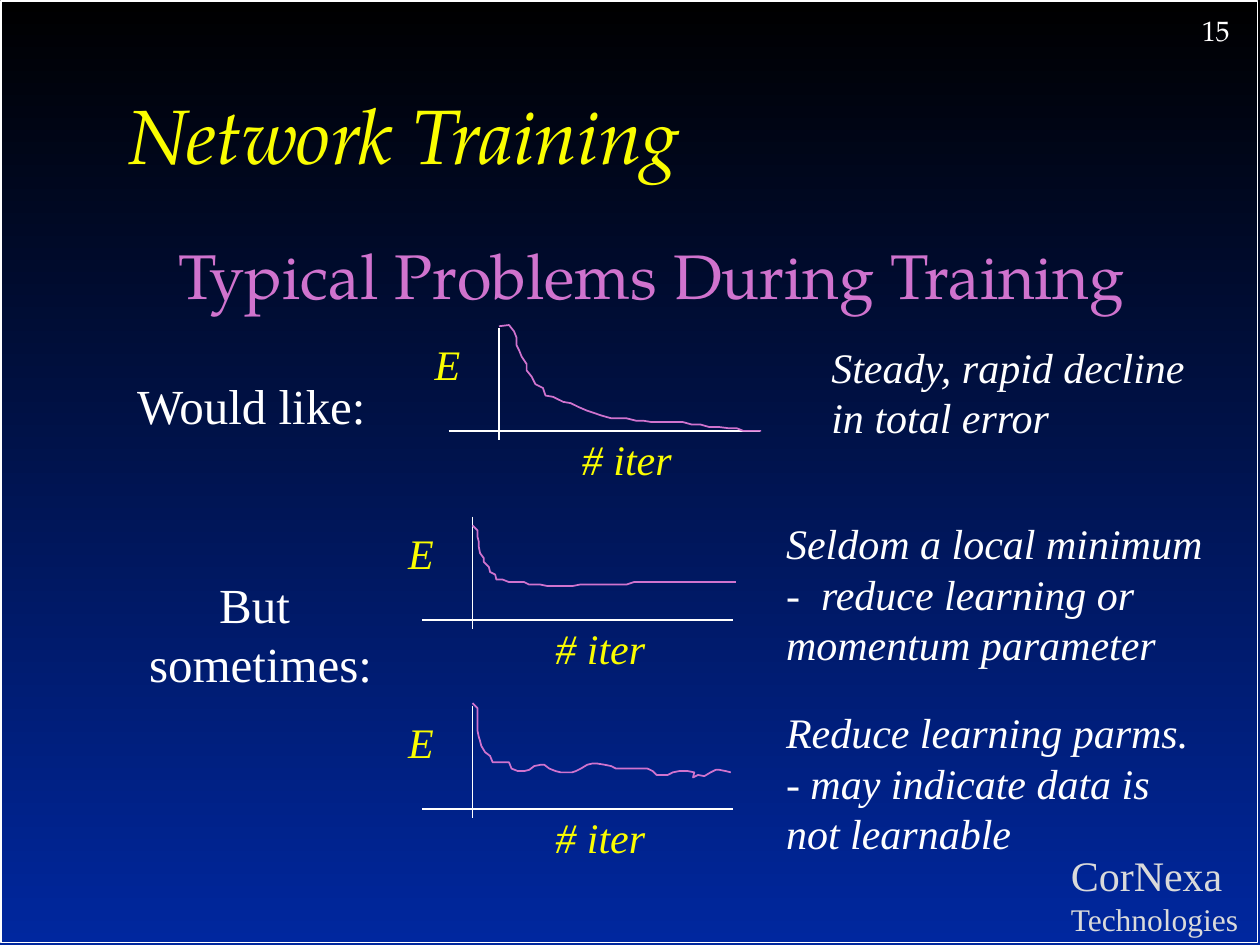
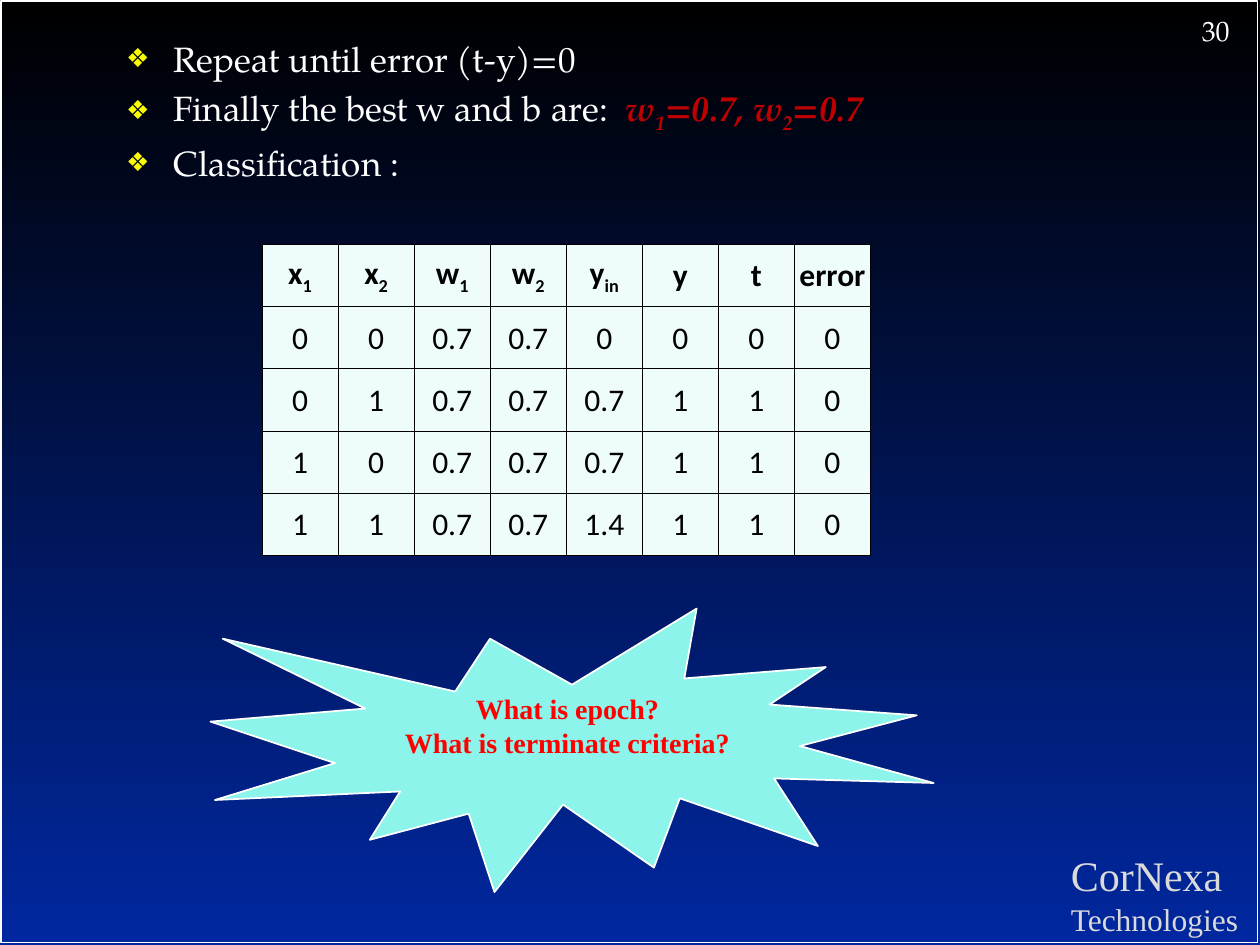
from dataclasses import dataclass

from lxml.etree import SubElement
from pptx import Presentation
from pptx.dml.color import RGBColor
from pptx.enum.shapes import MSO_CONNECTOR, MSO_SHAPE
from pptx.enum.text import MSO_ANCHOR, MSO_AUTO_SIZE, PP_ALIGN
from pptx.oxml.ns import qn
from pptx.util import Inches, Pt

# Shared look
WHITE, BLACK, NAVY = "FFFFFF", "000000", "00279F"
YELLOW, ORCHID, GREY = "FAFD00", "D073CE", "DADADA"
RED, DARK_RED, AQUA, PALE = "FF0000", "C00000", "8CF4EA", "EEFDFB"
SERIF, DISPLAY, SANS = "Times New Roman", "TeX Gyre Pagella", "Calibri"


@dataclass(frozen=True)
class Style:
    size: int
    color: str = WHITE
    name: str = SERIF
    bold: bool = False
    italic: bool = False


@dataclass(frozen=True)
class Label:
    x: float
    y: float
    w: float
    h: float
    lines: tuple[str, ...]
    style: Style
    wrap: bool = False
    align: PP_ALIGN = PP_ALIGN.LEFT


@dataclass(frozen=True)
class ErrorPlot:
    x: float  # axis origin
    y: float
    curve: tuple[tuple[float, float], ...]


TITLE = Style(44, YELLOW, DISPLAY, italic=True)
SUBTITLE = Style(36, ORCHID, DISPLAY)
BULLET = Style(20, WHITE, DISPLAY)
WEIGHTS = Style(20, DARK_RED, DISPLAY, bold=True, italic=True)
PAGE = Style(16, WHITE, DISPLAY)
AXIS = Style(24, YELLOW, italic=True)
CASE = Style(28)
REMARK = Style(24, italic=True)
QUESTION = Style(16, RED, bold=True)
HEAD = Style(18, BLACK, SANS, bold=True)
CELL = Style(18, BLACK, SANS)

# Slide 1 content
PLOTS = (
    ErrorPlot(3.96, 3.42, (
        (3.96, 2.59), (4.04, 2.58), (4.08, 2.63), (4.1, 2.68), (4.1, 2.74),
        (4.12, 2.78), (4.14, 2.83), (4.18, 2.89), (4.18, 2.94), (4.22, 2.99),
        (4.25, 3.05), (4.31, 3.08), (4.33, 3.14), (4.39, 3.15), (4.47, 3.19),
        (4.53, 3.2), (4.59, 3.23), (4.66, 3.26), (4.72, 3.28), (4.78, 3.3),
        (4.85, 3.32), (4.97, 3.32), (5.05, 3.34), (5.11, 3.34), (5.17, 3.35),
        (5.42, 3.35), (5.49, 3.37), (5.56, 3.37), (5.63, 3.39), (5.71, 3.39),
        (5.79, 3.4), (5.85, 3.4), (5.9, 3.42), (6.04, 3.42))),
    ErrorPlot(3.75, 4.92, (
        (3.75, 4.17), (3.79, 4.21), (3.79, 4.26), (3.8, 4.3), (3.8, 4.34),
        (3.81, 4.39), (3.84, 4.43), (3.84, 4.46), (3.88, 4.5), (3.89, 4.54),
        (3.93, 4.56), (3.94, 4.6), (3.99, 4.6), (4.04, 4.62), (4.16, 4.62),
        (4.2, 4.64), (4.29, 4.64), (4.34, 4.65), (4.55, 4.65), (4.6, 4.64),
        (4.97, 4.64), (5.03, 4.62), (5.84, 4.62))),
    ErrorPlot(3.75, 6.42, (
        (3.75, 5.58), (3.79, 5.62), (3.79, 5.8), (3.8, 5.85), (3.81, 5.88),
        (3.82, 5.92), (3.85, 5.97), (3.89, 6), (3.91, 6.05), (4.04, 6.05),
        (4.06, 6.1), (4.11, 6.12), (4.16, 6.12), (4.2, 6.11), (4.24, 6.08),
        (4.29, 6.07), (4.32, 6.07), (4.36, 6.1), (4.41, 6.12), (4.45, 6.13),
        (4.54, 6.13), (4.57, 6.12), (4.61, 6.1), (4.66, 6.07), (4.7, 6.06),
        (4.74, 6.06), (4.8, 6.07), (4.85, 6.08), (4.89, 6.1), (5.14, 6.1),
        (5.18, 6.12), (5.21, 6.15), (5.3, 6.15), (5.34, 6.13), (5.39, 6.12),
        (5.46, 6.12), (5.51, 6.13), (5.5, 6.17), (5.54, 6.15), (5.59, 6.16),
        (5.64, 6.13), (5.68, 6.11), (5.71, 6.11), (5.76, 6.12), (5.8, 6.13))),
)
NOTES = (
    Label(0.99, 2.93, 2.06, 0.58, ("Would like:",), CASE),
    Label(0.98, 4.51, 2.08, 1.05, ("But", " sometimes:"), CASE, align=PP_ALIGN.CENTER),
    Label(6.5, 2.66, 3.03, 0.91, ("Steady, rapid decline", "in total error"), REMARK),
    Label(6.14, 4.06, 3.69, 1.31,
          ("Seldom a local minimum -  reduce learning or momentum parameter",),
          REMARK, wrap=True),
    Label(6.14, 5.56, 3.53, 1.31,
          ("Reduce learning parms.", "- may indicate data is not learnable"),
          REMARK, wrap=True),
)

# Slide 2 content: an underscore starts a subscript run
BULLETS = (
    (("Repeat until error (t-y)=0", BULLET),),
    (("Finally the best w and b are:  ", BULLET), ("w", WEIGHTS), ("_1", WEIGHTS),
     ("=0.7, w", WEIGHTS), ("_2", WEIGHTS), ("=0.7", WEIGHTS)),
    (("Classification :", BULLET),),
)
TABLE = (
    ("x_1", "x_2", "w_1", "w_2", "y_in", "y", "t", "error"),
    ("0", "0", "0.7", "0.7", "0", "0", "0", "0"),
    ("0", "1", "0.7", "0.7", "0.7", "1", "1", "0"),
    ("1", "0", "0.7", "0.7", "0.7", "1", "1", "0"),
    ("1", "1", "0.7", "0.7", "1.4", "1", "1", "0"),
)


def rgb(color: str) -> RGBColor:
    return RGBColor.from_string(color)


def format_run(r, style: Style) -> None:
    f = r.font
    f.size, f.name, f.bold, f.italic = Pt(style.size), style.name, style.bold, style.italic
    f.color.rgb = rgb(style.color)


def add_run(p, text: str, style: Style) -> None:
    r = p.add_run()
    r.text = text.lstrip("_")
    format_run(r, style)
    if text.startswith("_"):
        r._r.get_or_add_rPr().set("baseline", "-25000")


def write(tf, lines: tuple[str, ...], style: Style, align=PP_ALIGN.LEFT) -> None:
    tf.text = "\n".join(lines)
    for p in tf.paragraphs:
        p.alignment = align
        for r in p.runs:
            format_run(r, style)


def place(sp, x: float, y: float, w: float, h: float) -> None:
    sp.left, sp.top, sp.width, sp.height = map(Inches, (x, y, w, h))


def outline(sp, color: str) -> None:
    sp.line.color.rgb = rgb(color)
    sp.line.width = Pt(1)


def add_label(s, label: Label) -> None:
    box = map(Inches, (label.x, label.y, label.w, label.h))
    tf = s.shapes.add_textbox(*box).text_frame
    tf.word_wrap = label.wrap
    tf.auto_size = MSO_AUTO_SIZE.SHAPE_TO_FIT_TEXT
    write(tf, label.lines, label.style, label.align)


def add_line(s, x1: float, y1: float, x2: float, y2: float) -> None:
    c = s.shapes.add_connector(MSO_CONNECTOR.STRAIGHT, *map(Inches, (x1, y1, x2, y2)))
    outline(c, WHITE)
    SubElement(c._element.spPr, qn("a:effectLst"))


def add_plot(s, plot: ErrorPlot) -> None:
    x, y = plot.x, plot.y
    add_line(s, x, y - 0.82, x, y + 0.07)
    add_line(s, x - 0.4, y, x + 2.07, y)
    add_label(s, Label(x - 0.61, y - 0.78, 0.41, 0.51, ("E",), AXIS))
    add_label(s, Label(x + 0.56, y - 0.03, 0.92, 0.51, ("# iter",), AXIS))
    start, *rest = [(Inches(px), Inches(py)) for px, py in plot.curve]
    fb = s.shapes.build_freeform(*start)
    fb.add_line_segments(rest, close=False)
    sp = fb.convert_to_shape()
    sp.fill.background()
    sp.shadow.inherit = False
    outline(sp, ORCHID)


def set_indent(p, bullet: str = "") -> None:
    pPr = p._p.get_or_add_pPr()
    pPr.set("marL", str(Inches(0.38)))
    pPr.set("indent", str(-Inches(0.38)))
    if not bullet:
        SubElement(pPr, qn("a:buNone"))
        return
    color = SubElement(pPr, qn("a:buClr"))
    SubElement(color, qn("a:srgbClr")).set("val", YELLOW)
    SubElement(pPr, qn("a:buSzPct")).set("val", "75000")
    SubElement(pPr, qn("a:buChar")).set("char", bullet)


def set_background(prs) -> None:
    fill = prs.slide_master.background.fill
    fill.gradient()
    fill.gradient_angle = 270
    for stop, color in zip(fill.gradient_stops, (BLACK, NAVY)):
        stop.color.rgb = rgb(color)


def add_slide(prs, number: int):
    """Add a slide with the frame, page number and footer."""
    s = prs.slides.add_slide(prs.slide_layouts[1])
    add_label(s, Label(9.44, 0.06, 0.5, 0.36, (str(number),), PAGE, wrap=True))
    frame = s.shapes.add_shape(MSO_SHAPE.RECTANGLE, 0, 0, 0, 0)
    place(frame, 0.01, 0.01, 9.97, 7.47)
    frame.fill.background()
    frame.shadow.inherit = False
    outline(frame, WHITE)
    add_label(s, Label(8.4, 6.69, 1.55, 0.8, ("CorNexa", "Technologies"), Style(24, GREY)))
    footer = s.shapes[-1].text_frame
    footer.paragraphs[1].runs[0].font.size = Pt(18)
    return s


def format_cell(cell, text: str, style: Style) -> None:
    cell.margin_left = cell.margin_right = cell.margin_top = Inches(0.01)
    cell.margin_bottom = 0
    cell.vertical_anchor = MSO_ANCHOR.MIDDLE
    tcPr = cell._tc.get_or_add_tcPr()
    for side in ("a:lnL", "a:lnR", "a:lnT", "a:lnB"):
        ln = SubElement(tcPr, qn(side), w=str(Pt(0.5)))
        SubElement(SubElement(ln, qn("a:solidFill")), qn("a:srgbClr")).set("val", BLACK)
    cell.fill.solid()
    cell.fill.fore_color.rgb = rgb(PALE)
    p = cell.text_frame.paragraphs[0]
    p.alignment = PP_ALIGN.CENTER
    base, mark, sub = text.partition("_")
    add_run(p, base, style)
    if sub:
        add_run(p, mark + sub, style)


def build_problems(prs) -> None:
    s = add_slide(prs, 15)
    title, body = s.shapes.title, s.placeholders[1]
    place(title, 0.92, 0.46, 8.51, 1.21)
    title.text_frame.vertical_anchor = MSO_ANCHOR.MIDDLE
    title.text_frame.auto_size = MSO_AUTO_SIZE.NONE
    write(title.text_frame, ("Network Training",), TITLE)

    place(body, 0.92, 1.83, 8.5, 0.83)
    tf = body.text_frame
    tf.auto_size = MSO_AUTO_SIZE.NONE
    write(tf, ("Typical Problems During Training",), SUBTITLE, PP_ALIGN.CENTER)
    tf.paragraphs[0].space_before = Pt(7.2)
    set_indent(tf.paragraphs[0])

    for plot in PLOTS:
        add_plot(s, plot)
    for note in NOTES:
        add_label(s, note)


def build_result(prs) -> None:
    s = add_slide(prs, 30)
    title, body = s.shapes.title, s.placeholders[1]
    title._element.getparent().remove(title._element)
    place(body, 0.9, 0.25, 8.5, 6.42)
    tf = body.text_frame
    tf.auto_size = MSO_AUTO_SIZE.NONE
    for i, runs in enumerate(BULLETS):
        p = tf.add_paragraph() if i else tf.paragraphs[0]
        p.space_before = Pt(4)
        set_indent(p, "❖")
        for text, style in runs:
            add_run(p, text, style)

    # Question burst
    seal = s.shapes.add_shape(MSO_SHAPE.EXPLOSION1, 0, 0, 0, 0)
    place(seal, 1.67, 4.83, 5.74, 2.25)
    seal.fill.solid()
    seal.fill.fore_color.rgb = rgb(AQUA)
    seal.shadow.inherit = False
    outline(seal, WHITE)
    tf = seal.text_frame
    tf.margin_left = tf.margin_right = tf.margin_top = tf.margin_bottom = 0
    tf.vertical_anchor = MSO_ANCHOR.TOP
    write(tf, ("What is epoch?", "What is terminate criteria?"), QUESTION, PP_ALIGN.CENTER)

    # Classification table
    box = map(Inches, (2.08, 1.94, 4.83, 2.47))
    table = s.shapes.add_table(len(TABLE), len(TABLE[0]), *box).table
    table.first_row = table.horz_banding = False
    for i, row in enumerate(TABLE):
        for j, text in enumerate(row):
            format_cell(table.cell(i, j), text, CELL if i else HEAD)


def main() -> None:
    prs = Presentation()
    prs.slide_width, prs.slide_height = Inches(10), Inches(7.5)
    set_background(prs)
    build_problems(prs)
    build_result(prs)
    prs.save("out.pptx")


if __name__ == "__main__":
    main()
